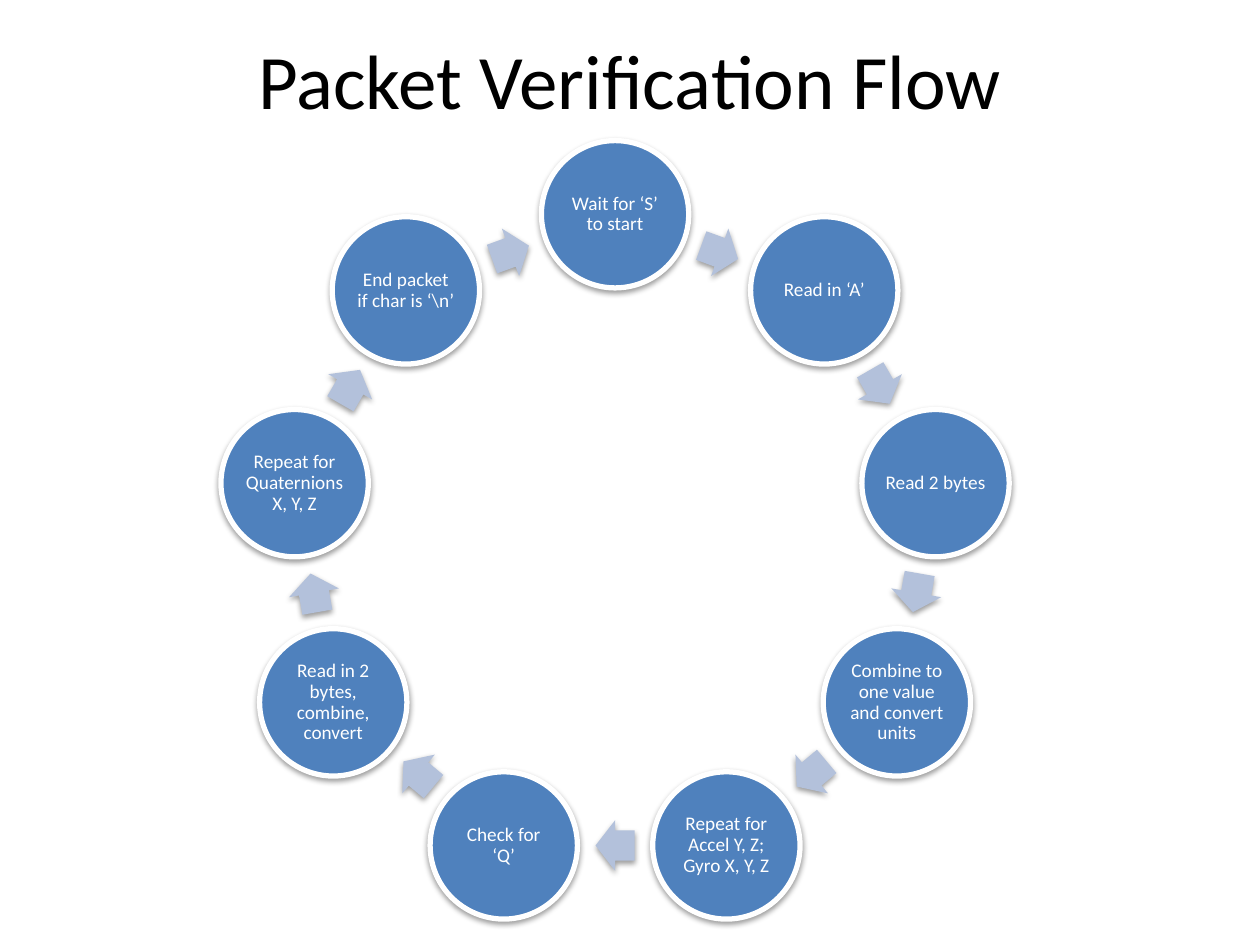
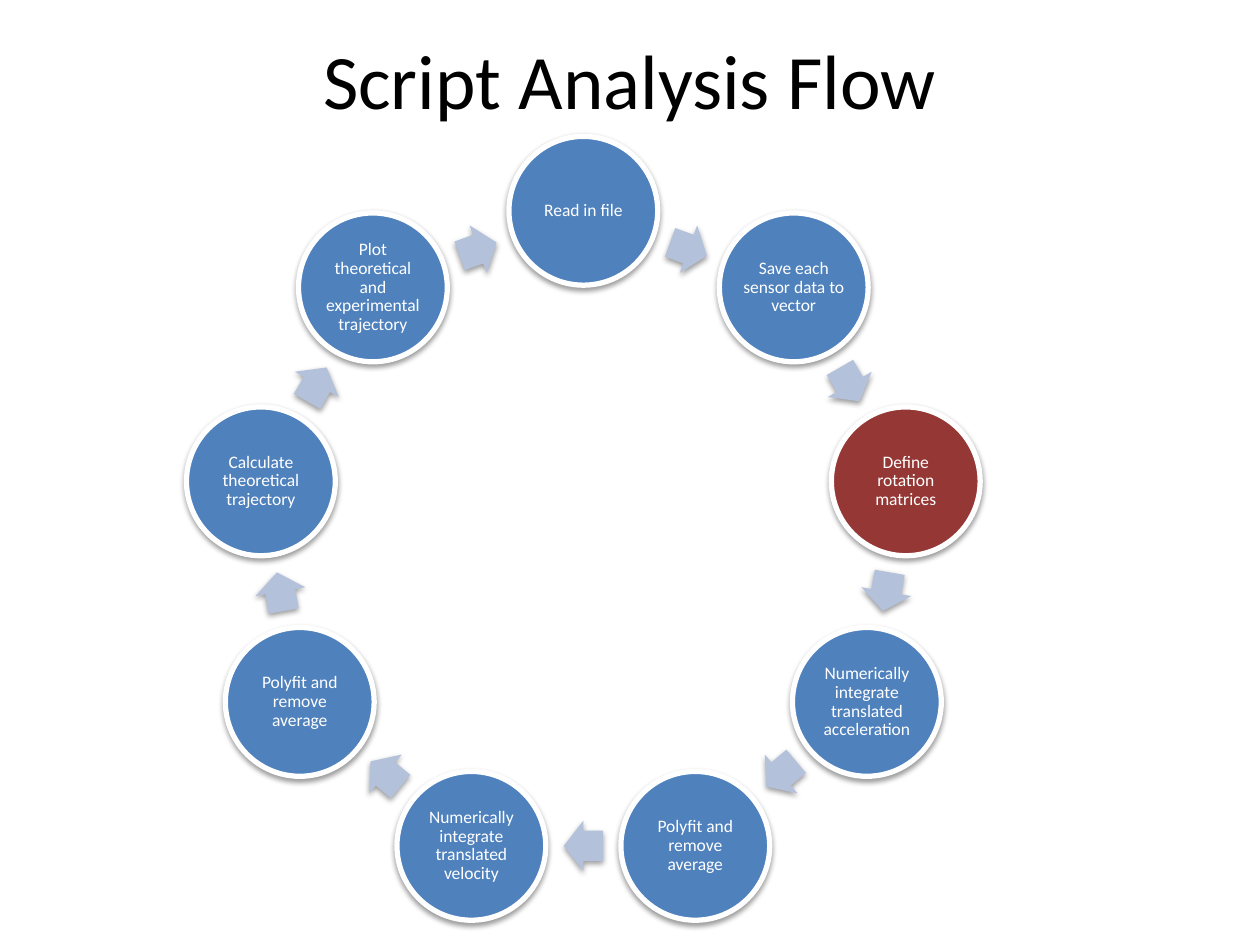
"""Builds two slides, each showing a nine-step cycle of circles and arrows."""
from dataclasses import dataclass
from math import cos, pi, radians, sin

from lxml.etree import SubElement
from pptx import Presentation
from pptx.dml.color import RGBColor
from pptx.enum.shapes import MSO_SHAPE
from pptx.enum.text import MSO_ANCHOR, PP_ALIGN
from pptx.oxml.ns import qn
from pptx.util import Cm, Pt


@dataclass(frozen=True)
class Theme:
    """Colours, font and type sizes shared by the slides."""
    font: str = "Calibri"
    title_size: int = 44
    title: RGBColor = RGBColor(0x00, 0x00, 0x00)
    step: RGBColor = RGBColor(0x4F, 0x81, 0xBD)
    highlight: RGBColor = RGBColor(0x95, 0x37, 0x35)
    arrow: RGBColor = RGBColor(0xB3, 0xC1, 0xDB)
    light: RGBColor = RGBColor(0xFF, 0xFF, 0xFF)


@dataclass(frozen=True)
class Ring:
    """Geometry of a cycle in centimetres, with its text size in points."""
    center_x: float
    center_y: float
    radius: float
    diameter: float
    text_size: int

    def point(self, angle, radius):
        """Return the point at a clockwise angle from the top."""
        turn = radians(angle)
        return self.center_x + radius * sin(turn), self.center_y - radius * cos(turn)


class CycleDeck:
    """Holds the theme, the presentation and the current slide."""

    arrow_length, arrow_width = 0.79, 1.02

    def __init__(self, theme):
        """Start an empty presentation with 4:3 slides."""
        self.theme = theme
        self.presentation = Presentation()
        self.presentation.slide_width = Cm(25.4)
        self.presentation.slide_height = Cm(19.05)
        self.slide = None

    def add_slide(self, title):
        """Add a slide and place its title."""
        layout = self.presentation.slide_layouts.get_by_name("Title Only")
        self.slide = self.presentation.slides.add_slide(layout)
        shape = self.slide.shapes.title
        shape.left, shape.top = Cm(1.27), Cm(0)
        shape.width, shape.height = Cm(22.86), Cm(3.18)
        self.set_text(shape, title, self.theme.title_size, self.theme.title)

    def set_text(self, shape, text, size, color):
        """Write centred text in a shape and return its paragraph."""
        frame = shape.text_frame
        frame.text = text
        frame.word_wrap = True
        frame.vertical_anchor = MSO_ANCHOR.MIDDLE
        paragraph = frame.paragraphs[0]
        paragraph.alignment = PP_ALIGN.CENTER
        font = paragraph.runs[0].font
        font.name, font.size = self.theme.font, Pt(size)
        font.color.rgb = color
        return paragraph

    def add_centered(self, group, preset, center, width, height, color):
        """Add a filled shape with a soft shadow around a centre point."""
        x, y = center
        shape = group.shapes.add_shape(
            preset, Cm(x - width / 2), Cm(y - height / 2), Cm(width), Cm(height))
        shape.fill.solid()
        shape.fill.fore_color.rgb = color
        shape.line.fill.background()
        self.add_shadow(shape)
        return shape

    def add_shadow(self, shape):
        """Give a shape a soft black shadow below it."""
        shape.shadow.inherit = False
        effects = shape._element.spPr.find(qn("a:effectLst"))
        shadow = SubElement(effects, qn("a:outerShdw"), blurRad="40000",
                            dist="20000", dir="5400000", rotWithShape="0")
        black = SubElement(shadow, qn("a:srgbClr"), val="000000")
        SubElement(black, qn("a:alpha"), val="38000")

    def add_step(self, group, ring, angle, text, color):
        """Add one labelled circle on the ring."""
        circle = self.add_centered(group, MSO_SHAPE.OVAL, ring.point(angle, ring.radius),
                                   ring.diameter, ring.diameter, color)
        circle.line.fill.solid()
        circle.line.color.rgb = self.theme.light
        circle.line.width = Pt(3)
        paragraph = self.set_text(circle, text, ring.text_size, self.theme.light)
        paragraph.line_spacing = 0.9
        space_after = SubElement(paragraph._p.get_or_add_pPr(), qn("a:spcAft"))
        SubElement(space_after, qn("a:spcPct"), val="35000")
        frame = circle.text_frame
        frame.margin_left = frame.margin_right = Pt(ring.text_size / 10)
        frame.margin_top = frame.margin_bottom = Pt(ring.text_size / 10)

    def add_arrow(self, group, center, rotation):
        """Add one block arrow between two circles."""
        arrow = self.add_centered(group, MSO_SHAPE.RIGHT_ARROW, center,
                                  self.arrow_length, self.arrow_width, self.theme.arrow)
        arrow.adjustments[0] = 0.6
        arrow.adjustments[1] = 0.5
        arrow.rotation = rotation

    def add_cycle(self, ring, steps, highlighted=None):
        """Spread the steps clockwise on a ring, with an arrow after each."""
        group = self.slide.shapes.add_group_shape()
        pitch = 360 / len(steps)
        chord_radius = ring.radius * cos(pi / len(steps))
        for index, text in enumerate(steps):
            color = self.theme.highlight if index == highlighted else self.theme.step
            self.add_step(group, ring, index * pitch, text, color)
            middle = (index + 0.5) * pitch
            self.add_arrow(group, ring.point(middle, chord_radius), middle)


PACKET_STEPS = [
    "Wait for ‘S’ to start",
    "Read in ‘A’",
    "Read 2 bytes",
    "Combine to one value and convert units",
    "Repeat for Accel Y, Z; Gyro X, Y, Z",
    "Check for ‘Q’",
    "Read in 2 bytes, combine, convert",
    "Repeat for Quaternions X, Y, Z",
    "End packet if char is ‘\\n’",
]
ANALYSIS_STEPS = [
    "Read in file",
    "Save each sensor data to vector",
    "Define rotation matrices",
    "Numerically integrate translated acceleration",
    "Polyfit and remove average",
    "Numerically integrate translated velocity",
    "Polyfit and remove average",
    "Calculate theoretical trajectory",
    "Plot theoretical and experimental trajectory",
]


def main():
    """Build both slides and save the file."""
    deck = CycleDeck(Theme())
    deck.add_slide("Packet Verification Flow")
    deck.add_cycle(Ring(12.4, 10.88, 6.56, 2.97, 11), PACKET_STEPS)
    deck.add_slide("Script Analysis Flow")
    deck.add_cycle(Ring(11.76, 10.85, 6.6, 3, 10), ANALYSIS_STEPS, highlighted=2)
    deck.presentation.save("out.pptx")


main()
